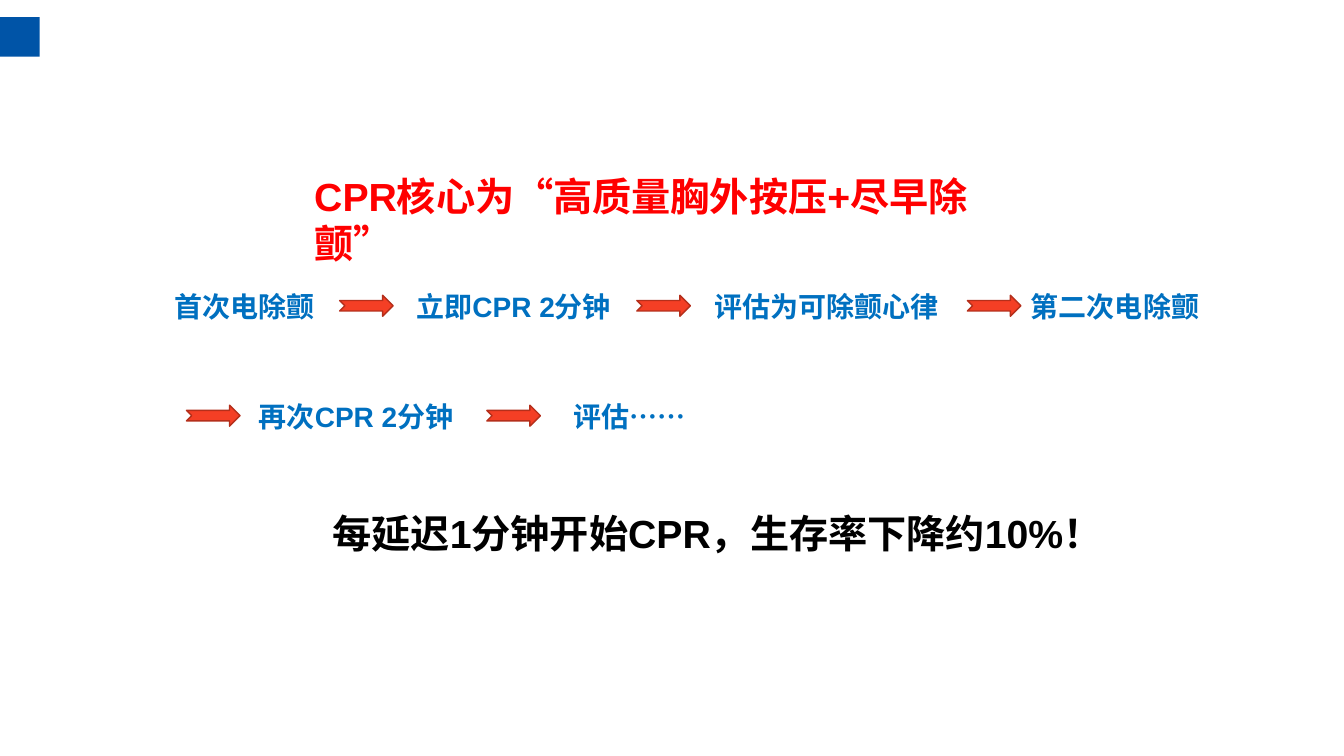
from lxml.etree import SubElement
from pptx import Presentation
from pptx.dml.color import RGBColor
from pptx.enum.lang import MSO_LANGUAGE_ID
from pptx.enum.shapes import MSO_SHAPE
from pptx.enum.text import MSO_AUTO_SIZE
from pptx.oxml.ns import qn
from pptx.util import Cm, Pt

HEAD = dict(name="Arial", size=Pt(28), bold=True)
STEP = dict(name="Arial", size=Pt(20), bold=True)
ARROW_W, ARROW_H, ARROW_DROP = 1.35, 0.53, 0.28

# Each part is (offset from row start, width, text); arrows have no text.
FIRST = [
    (0, 4.06, "首次电除颤"),
    (4.42, ARROW_W, None),
    (6.1, 5.41, "立即CPR 2分钟"),
    (11.91, ARROW_W, None),
    (13.61, 6.27, "评估为可除颤心律"),
    (20.24, ARROW_W, None),
    (21.59, 5.54, "第二次电除颤"),
]
SECOND = [
    (0, ARROW_W, None),
    (1.57, 5.41, "再次CPR 2分钟"),
    (7.57, ARROW_W, None),
    (9.5, 6.27, "评估……"),
]


def color(code):
    return RGBColor.from_string(code)


def add_text(slide, box, text, style, code):
    frame = slide.shapes.add_textbox(*map(Cm, box)).text_frame
    frame.word_wrap = True
    frame.auto_size = MSO_AUTO_SIZE.SHAPE_TO_FIT_TEXT
    run = frame.paragraphs[0].add_run()
    run.text = text
    for key, value in style.items():
        setattr(run.font, key, value)
    run.font.language_id = MSO_LANGUAGE_ID.SIMPLIFIED_CHINESE
    run.font.color.rgb = color(code)
    return run


def add_block(slide, kind, box, fill, line=None):
    shape = slide.shapes.add_shape(kind, *map(Cm, box))
    shape.shadow.inherit = False
    shape.fill.solid()
    shape.fill.fore_color.rgb = color(fill)
    if line:
        shape.line.color.rgb = color(line)
        shape.line.width = Pt(1)
    else:
        shape.line.fill.background()


def add_row(slide, left, top, parts):
    """Lay out one line of the rescue sequence."""
    for shift, width, text in parts:
        x = left + shift
        if text:
            add_text(slide, (x, top, width, 1.12), text, STEP, "0070C0")
        else:
            box = (x, top + ARROW_DROP, width, ARROW_H)
            add_block(slide, MSO_SHAPE.NOTCHED_RIGHT_ARROW, box,
                      "F43F25", "B52F1B")


def add_edge(run, code, width):
    """Outline the letters of a run."""
    edge = run.font.fill._xPr.makeelement(qn("a:ln"), {"w": str(Pt(width))})
    fill = SubElement(edge, qn("a:solidFill"))
    SubElement(fill, qn("a:srgbClr"), val=code)
    run.font.fill._xPr.insert(0, edge)


def main():
    deck = Presentation()
    deck.slide_width, deck.slide_height = Cm(33.87), Cm(19.05)
    slide = deck.slides.add_slide(deck.slide_layouts[6])
    add_block(slide, MSO_SHAPE.RECTANGLE, (0, 0.43, 1, 1), "0054A7")
    add_text(slide, (7.67, 4.22, 18.34, 1.45),
             "CPR核心为“高质量胸外按压+尽早除颤”", HEAD, "FF0000")
    add_row(slide, 4.14, 7.16, FIRST)
    add_row(slide, 4.7, 9.93, SECOND)
    close = add_text(slide, (8.13, 12.7, 19.94, 1.45),
                     "每延迟1分钟开始CPR，生存率下降约10%！", HEAD, "000000")
    add_edge(close, "FFFFFF", 0.75)
    deck.save("out.pptx")


if __name__ == "__main__":
    main()
